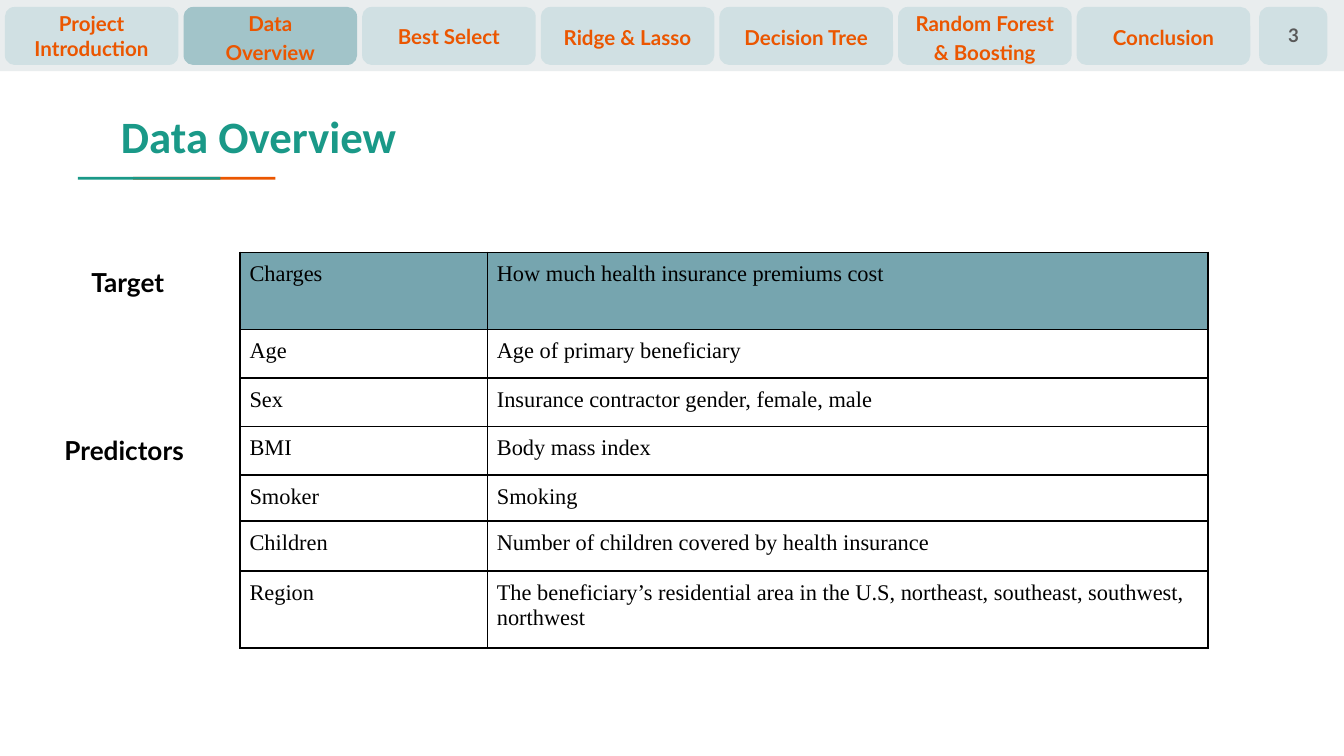
from pptx import Presentation
from pptx.dml.color import RGBColor
from pptx.enum.shapes import MSO_SHAPE
from pptx.enum.text import MSO_ANCHOR, PP_ALIGN
from pptx.oxml import parse_xml
from pptx.oxml.ns import nsdecls
from pptx.util import Pt

BLACK = RGBColor(0x00, 0x00, 0x00)
GRAY = RGBColor(0x59, 0x59, 0x59)
BAND = RGBColor(0xE9, 0xED, 0xEE)
TEAL = RGBColor(0x1A, 0x99, 0x88)
ORANGE = RGBColor(0xEB, 0x56, 0x00)
PALE = RGBColor(0xD0, 0xE0, 0xE3)
ACTIVE = RGBColor(0xA2, 0xC4, 0xC9)
HEAD = RGBColor(0x76, 0xA5, 0xAF)

deck = Presentation()
deck.slide_width, deck.slide_height = Pt(720), Pt(405)
slide = deck.slides.add_slide(deck.slide_layouts[5])
shapes = slide.shapes


def add_box(kind, left, top, width, height, color):
    box = shapes.add_shape(kind, Pt(left), Pt(top), Pt(width), Pt(height))
    box.shadow.inherit = False
    box.fill.solid()
    box.fill.fore_color.rgb = color
    box.line.fill.background()
    if kind == MSO_SHAPE.ROUNDED_RECTANGLE:
        box.adjustments[0] = 0.167
    return box


def write(frame, lines, size, color, font="Lato", bold=True, inset=7.2,
          anchor=MSO_ANCHOR.TOP, align=PP_ALIGN.LEFT, space=1.0):
    frame.margin_left = frame.margin_right = Pt(inset)
    frame.margin_top = frame.margin_bottom = Pt(inset)
    frame.word_wrap = True
    frame.vertical_anchor = anchor
    para = frame.paragraphs[0]
    para.alignment = align
    para.line_spacing = space
    for i, line in enumerate(lines):
        if i:
            para.add_line_break()
        run = para.add_run()
        run.text = line
        run.font.name = font
        run.font.size = Pt(size)
        run.font.bold = bold
        run.font.color.rgb = color


# Top band and title underline
add_box(MSO_SHAPE.RECTANGLE, 0, 0, 720, 38.2, BAND)
for left, color in [(71.3, ORANGE), (41.8, TEAL)]:
    add_box(MSO_SHAPE.RECTANGLE, left, 94.7, 76.3, 1.5, color)

# Title
title = shapes.title
title.left, title.top = Pt(57.6), Pt(51.1)
title.width, title.height = Pt(605.5), Pt(42.5)
write(title.text_frame, ["Data Overview"], 24, TEAL, font="Calibri")

# Variable table
rows = [
    ("Charges", "How much health insurance premiums cost", 41.3),
    ("Age", "Age of primary beneficiary", 26),
    ("Sex", "Insurance contractor gender, female, male", 26),
    ("BMI", "Body mass index", 26),
    ("Smoker", "Smoking", 24.7),
    ("Children", "Number of children covered by health insurance", 26.8),
    ("Region", "The beneficiary’s residential area in the U.S, northeast, "
               "southeast, southwest, northwest", 41.3),
]
table = shapes.add_table(len(rows), 2, Pt(128.7), Pt(135.2),
                         Pt(518.4), Pt(212.1)).table
table.columns[0].width, table.columns[1].width = Pt(132.5), Pt(385.9)
for r, (name, note, height) in enumerate(rows):
    table.rows[r].height = Pt(height)
    for c, text in enumerate((name, note)):
        cell = table.cell(r, c)
        write(cell.text_frame, [text], 12, BLACK, "Times New Roman", False)
        cell.margin_left = cell.margin_right = Pt(5)
        cell.margin_top = cell.margin_bottom = Pt(5)
        cell.vertical_anchor = MSO_ANCHOR.TOP
        props = cell._tc.get_or_add_tcPr()
        for side in ("lnL", "lnR", "lnT", "lnB"):
            props.append(parse_xml(
                f'<a:{side} {nsdecls("a")} w="{Pt(1)}"><a:solidFill>'
                f'<a:srgbClr val="{BLACK}"/></a:solidFill></a:{side}>'))
        if r == 0:
            cell.fill.solid()
            cell.fill.fore_color.rgb = HEAD
        else:
            cell.fill.background()

# Row labels
for text, left, top, width in [("Target", 41.8, 135.4, 58.3),
                               ("Predictors", 27.4, 225.4, 87.1)]:
    label = shapes.add_textbox(Pt(left), Pt(top), Pt(width), Pt(31.7))
    write(label.text_frame, [text], 14, BLACK)

# Section tabs
tabs = [
    (["Project Introduction"], 1.0),
    (["Data", "Overview"], 1.15),
    (["Best Select"], 1.0),
    (["Ridge & Lasso"], 1.15),
    (["Decision Tree"], 1.15),
    (["Random Forest", "& Boosting"], 1.15),
    (["Conclusion"], 1.15),
]
for i, (lines, space) in enumerate(tabs):
    tab = add_box(MSO_SHAPE.ROUNDED_RECTANGLE, 2.6 + 95.7 * i, 3.7, 93, 31.1,
                  ACTIVE if i == 1 else PALE)
    write(tab.text_frame, lines, 11, ORANGE, anchor=MSO_ANCHOR.MIDDLE,
          align=PP_ALIGN.CENTER, space=space)

# Page number
add_box(MSO_SHAPE.ROUNDED_RECTANGLE, 674.6, 3.7, 36.5, 31.1, PALE)
page = shapes.add_textbox(Pt(676), Pt(6.5), Pt(34), Pt(26))
write(page.text_frame, ["3"], 10, GRAY, anchor=MSO_ANCHOR.MIDDLE,
      align=PP_ALIGN.CENTER, space=0.9)

deck.save("out.pptx")
